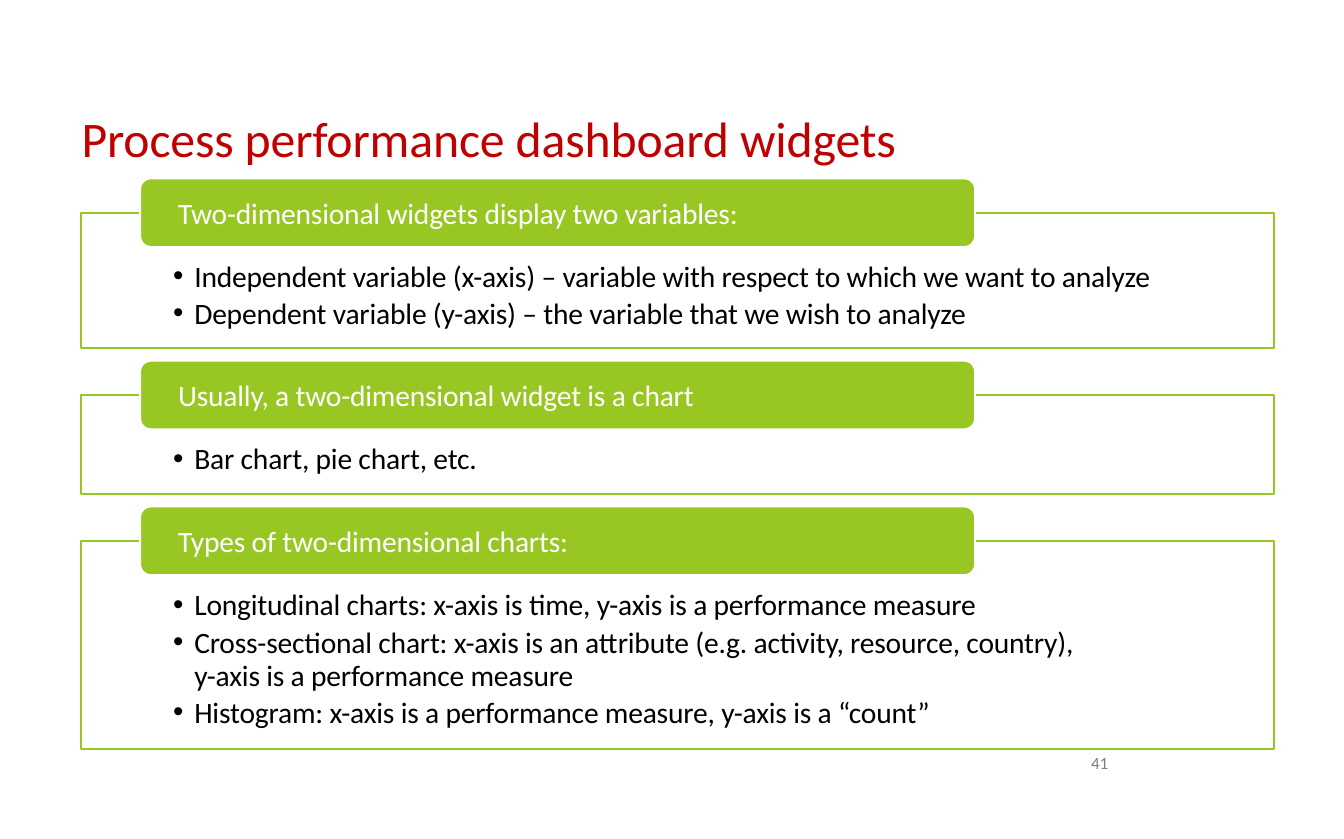
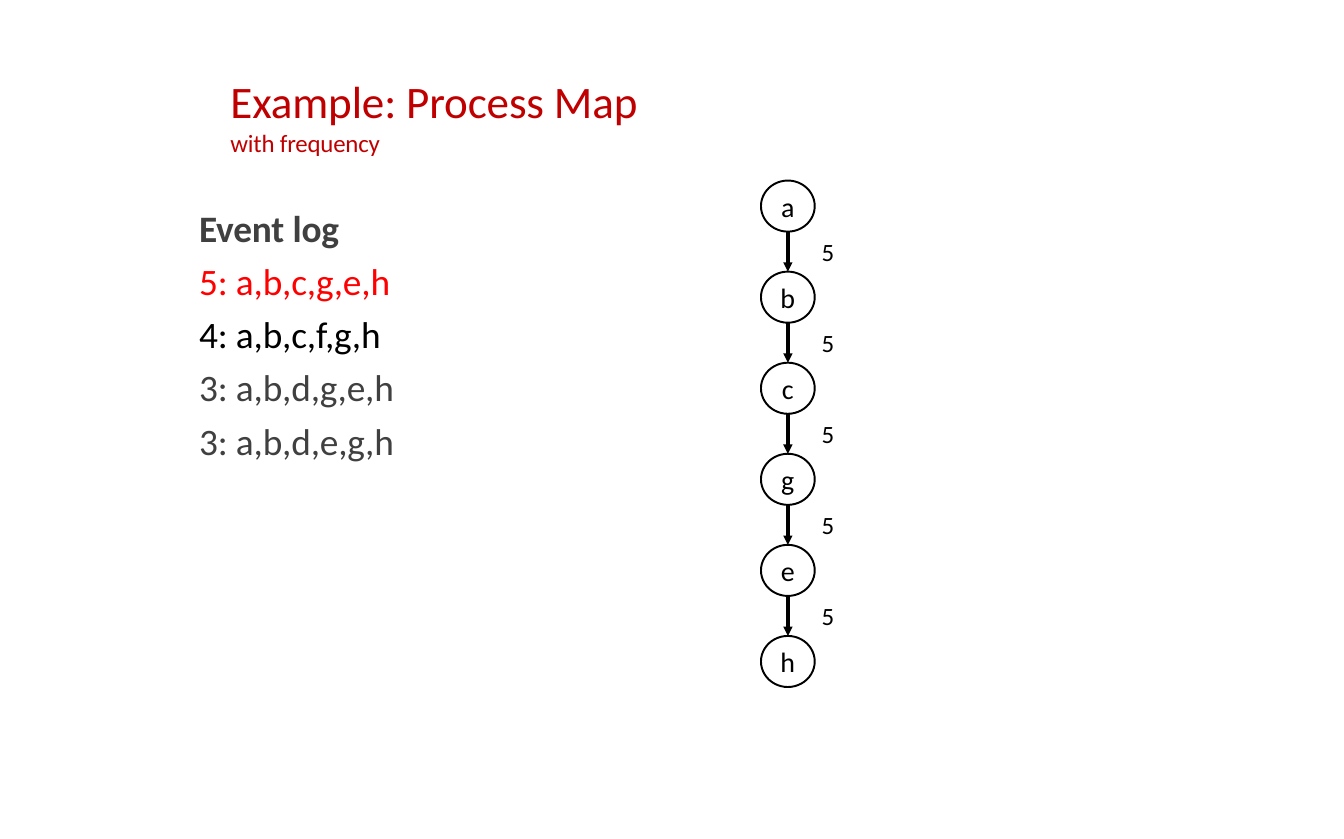
from dataclasses import dataclass

from lxml.etree import SubElement
from pptx import Presentation
from pptx.dml.color import RGBColor
from pptx.enum.shapes import MSO_CONNECTOR, MSO_SHAPE
from pptx.enum.text import MSO_ANCHOR, MSO_AUTO_SIZE, PP_ALIGN
from pptx.oxml.ns import qn
from pptx.util import Cm, Pt


@dataclass(frozen=True)
class Theme:
    font: str = "Calibri"
    title: str = "C00000"
    accent: str = "98C723"
    white: str = "FFFFFF"
    black: str = "000000"
    gray: str = "404040"
    red: str = "FF0000"
    footer: str = "7F7F7F"
    title_size: float = 32
    map_title_size: float = 29
    log_size: float = 24
    text_size: float = 19
    node_size: float = 18
    small_size: float = 16
    footer_size: float = 11
    line: float = 1.25
    arrow: float = 3


T = Theme()


# Shared helpers
def rgb(value):
    return RGBColor.from_string(value)


def place(sp, x, y, w, h):
    sp.left, sp.top, sp.width, sp.height = Cm(x), Cm(y), Cm(w), Cm(h)


def setup_frame(sp, left=0, top=0, anchor=MSO_ANCHOR.TOP):
    tf = sp.text_frame
    tf.word_wrap = True
    tf.auto_size = MSO_AUTO_SIZE.NONE
    tf.vertical_anchor = anchor
    tf.margin_left, tf.margin_top = Cm(left), Cm(top)
    tf.margin_right = tf.margin_bottom = 0
    return tf


def style(p, size, color, bold=False, align=PP_ALIGN.LEFT, before=0):
    p.alignment = align
    p.space_before = Pt(before)
    for r in p.runs:
        r.font.name, r.font.size, r.font.bold = T.font, Pt(size), bold
        r.font.color.rgb = rgb(color)
        r.font._element.set("spc", "-10")


def set_bullet(p, char=None, indent=0.0):
    pPr = p._p.get_or_add_pPr()
    pPr.set("marL", str(Cm(indent)))
    pPr.set("indent", str(-Cm(indent)))
    if char:
        SubElement(pPr, qn("a:buFont")).set("typeface", "Arial")
        SubElement(pPr, qn("a:buChar")).set("char", char)
    else:
        SubElement(pPr, qn("a:buNone"))


def add_title(slide, box, lines):
    """Fill the title with (text, size) lines."""
    place(slide.shapes.title, *box)
    tf = setup_frame(slide.shapes.title)
    tf.text = "\n".join(text for text, _ in lines)
    for p, (_, size) in zip(tf.paragraphs, lines):
        style(p, size, T.title)


def add_label(slide, box, text, size, color, align=PP_ALIGN.CENTER):
    sp = slide.shapes.add_textbox(0, 0, 0, 0)
    place(sp, *box)
    tf = setup_frame(sp, anchor=MSO_ANCHOR.MIDDLE)
    tf.text = text
    style(tf.paragraphs[0], size, color, align=align)


def add_preset(slide, kind, box, line, fill=None):
    sp = slide.shapes.add_shape(kind, *(Cm(v) for v in box))
    sp.shadow.inherit = False
    if fill:
        sp.fill.solid()
        sp.fill.fore_color.rgb = rgb(fill)
    else:
        sp.fill.background()
    sp.line.color.rgb = rgb(line)
    sp.line.width = Pt(T.line)
    return sp


# Framed list with a header that straddles its top edge
def add_section(slide, body, box, header, items):
    x, y, w, h = box
    header_h = 1.56
    place(body, x, y, w, h)
    body.line.color.rgb = rgb(T.accent)
    body.line.width = Pt(T.line)
    tf = setup_frame(body, left=2.1, top=1.03)
    tf.text = "\n".join(items)
    for i, p in enumerate(tf.paragraphs):
        set_bullet(p, "•", 0.48)
        wrapped = "\v" in p.text
        if wrapped:
            p.line_spacing = Pt(21.1)
        style(p, T.text_size, T.black, before=(3.3 if wrapped else 1) if i else 0)

    sp = add_preset(slide, MSO_SHAPE.ROUNDED_RECTANGLE,
                    (x + 1.35, y - header_h / 2, 18.95, header_h), T.white, T.accent)
    sp.adjustments[0] = 0.16
    tf = setup_frame(sp, left=0.79, anchor=MSO_ANCHOR.MIDDLE)
    tf.text = header
    style(tf.paragraphs[0], T.text_size, T.white)


# Event log: one coloured trace a line
def add_event_log(body, box, lines):
    place(body, *box)
    tf = setup_frame(body)
    tf.text = "\n".join(text for text, _ in lines)
    for i, (p, (_, color)) in enumerate(zip(tf.paragraphs, lines)):
        set_bullet(p)
        style(p, T.log_size, color, bold=i == 0, before=5.5 if i else 0)


def add_arrow(slide, x, y1, y2):
    cn = slide.shapes.add_connector(MSO_CONNECTOR.STRAIGHT, Cm(x), Cm(y1), Cm(x), Cm(y2))
    cn.line.color.rgb = rgb(T.black)
    cn.line.width = Pt(T.arrow)
    tail = SubElement(cn.line._get_or_add_ln(), qn("a:tailEnd"))
    for key, value in (("type", "triangle"), ("w", "sm"), ("len", "sm")):
        tail.set(key, value)
    SubElement(cn._element.spPr, qn("a:effectLst"))


# Vertical chain of nodes joined by labelled arrows
def add_process_map(slide, box, names, frequency):
    x, y, w, h = box
    node_h = 1.16
    pitch = (h - node_h) / (len(names) - 1)
    for i, name in enumerate(names):
        top = y + i * pitch
        sp = add_preset(slide, MSO_SHAPE.OVAL, (x, top, w, node_h), T.black)
        tf = setup_frame(sp, anchor=MSO_ANCHOR.MIDDLE)
        tf.text = name
        style(tf.paragraphs[0], T.node_size, T.black, align=PP_ALIGN.CENTER)
        if i:
            gap_top = top - pitch + node_h
            add_arrow(slide, x + w / 2, gap_top, top)
            add_label(slide, (x + w, gap_top, 0.6, top - gap_top),
                      frequency, T.small_size, T.black)


def build_widgets_slide(prs):
    slide = prs.slides.add_slide(prs.slide_layouts.get_by_name("Comparison"))
    add_title(slide, (1.85, 2.45, 22, 1.4),
              [("Process performance dashboard widgets", T.title_size)])
    sections = [
        (3.07, "Two-dimensional widgets display two variables:",
         ["Independent variable (x-axis) – variable with respect to which we want to analyze",
          "Dependent variable (y-axis) – the variable that we wish to analyze"]),
        (2.24, "Usually, a two-dimensional widget is a chart",
         ["Bar chart, pie chart, etc."]),
        (4.73, "Types of two-dimensional charts:",
         ["Longitudinal charts: x-axis is time, y-axis is a performance measure",
          "Cross-sectional chart: x-axis is an attribute (e.g. activity, resource, country),\v"
          "y-axis is a performance measure",
          "Histogram: x-axis is a performance measure, y-axis is a “count”"]),
    ]
    *bodies, spare = list(slide.placeholders)[1:]
    spare._element.getparent().remove(spare._element)
    y = 4.83
    for body, (h, header, items) in zip(bodies, sections):
        add_section(slide, body, (1.83, y, 27.08, h), header, items)
        y += h + 1.07
    # Page number
    add_label(slide, (24.76, 17.07, 1, 0.5), "41", T.footer_size, T.footer, PP_ALIGN.LEFT)


def build_map_slide(prs):
    slide = prs.slides.add_slide(prs.slide_layouts.get_by_name("Title and Content"))
    add_title(slide, (5.23, 1.66, 12, 2.1),
              [("Example: Process Map", T.map_title_size), ("with frequency", T.small_size)])
    add_event_log(slide.placeholders[1], (4.52, 4.65, 6, 6.2), [
        ("Event log", T.gray),
        ("5: a,b,c,g,e,h", T.red),
        ("4: a,b,c,f,g,h", T.black),
        ("3: a,b,d,g,e,h", T.gray),
        ("3: a,b,d,e,g,h", T.gray),
    ])
    add_process_map(slide, (17.27, 4.1, 1.22, 11.5), "abcgeh", "5")


def main():
    prs = Presentation()
    prs.slide_width, prs.slide_height = Cm(30.5), Cm(19.05)
    build_widgets_slide(prs)
    build_map_slide(prs)
    prs.save("out.pptx")


if __name__ == "__main__":
    main()
